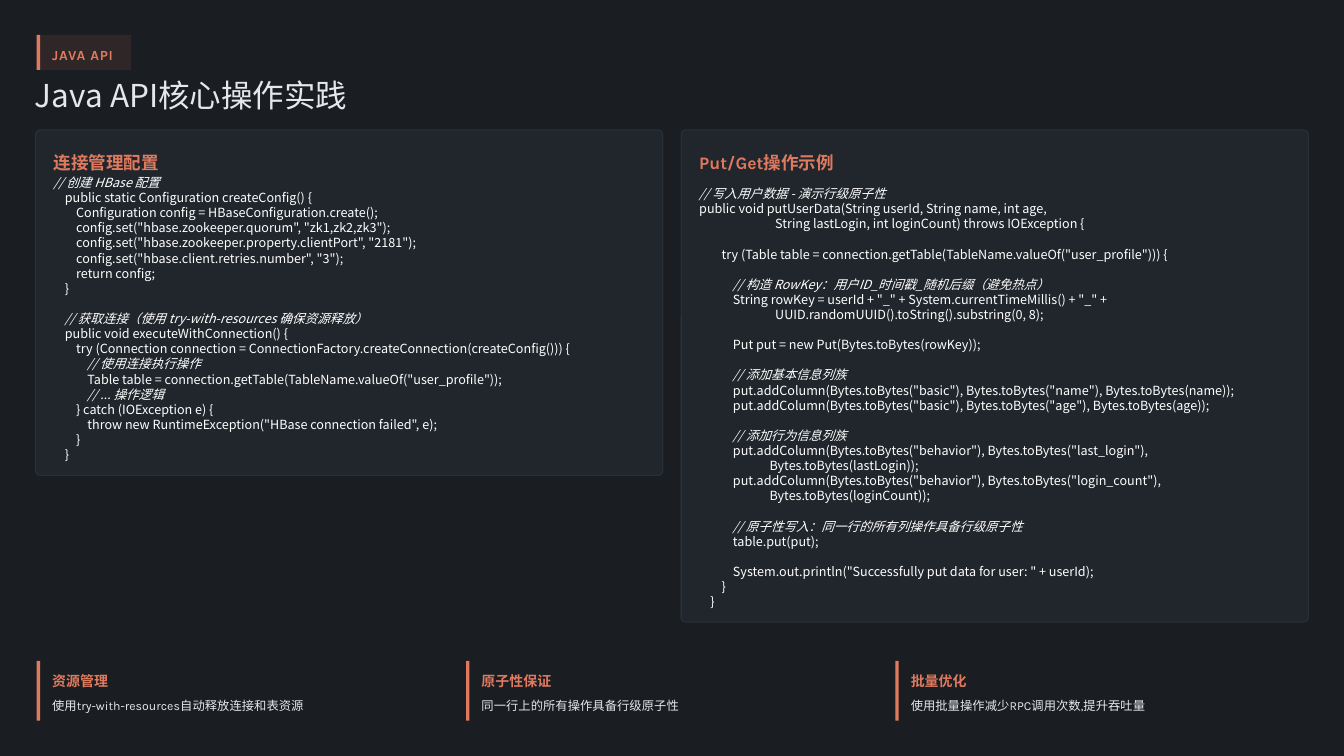
import pptx
import pptx.util
import pptx.dml.color
import pptx.enum.shapes
import pptx.enum.text
import pptx.oxml
import pptx.oxml.ns

Pt = pptx.util.Pt
SHAPE = pptx.enum.shapes.MSO_SHAPE
COLORS = {"background": "1A1D21", "accent": "E07A5F", "panel": "3D4A5C",
          "text": "E5E7EB", "code": "FFFFFF"}
LABEL_FONT = "Karla"
CJK_FONT = "Noto Sans CJK SC"
CODE_LINE = 14.4

CONNECTION_CODE = [
    """// 创建 HBase 配置
    public static Configuration createConfig() {
        Configuration config = HBaseConfiguration.create();
        config.set("hbase.zookeeper.quorum", "zk1,zk2,zk3");
        config.set("hbase.zookeeper.property.clientPort", "2181");
        config.set("hbase.client.retries.number", "3");
        return config;
    }""",
    """    // 获取连接（使用 try-with-resources 确保资源释放）
    public void executeWithConnection() {
        try (Connection connection = ConnectionFactory.createConnection(createConfig())) {
            // 使用连接执行操作
            Table table = connection.getTable(TableName.valueOf("user_profile"));
            // ... 操作逻辑
        } catch (IOException e) {
            throw new RuntimeException("HBase connection failed", e);
        }
    }"""]

PUT_CODE = [
    """// 写入用户数据 - 演示行级原子性
public void putUserData(String userId, String name, int age,
                           String lastLogin, int loginCount) throws IOException {""",
    """        try (Table table = connection.getTable(TableName.valueOf("user_profile"))) {""",
    """            // 构造 RowKey：用户ID_时间戳_随机后缀（避免热点）
            String rowKey = userId + "_" + System.currentTimeMillis() + "_" +
                           UUID.randomUUID().toString().substring(0, 8);""",
    """            Put put = new Put(Bytes.toBytes(rowKey));""",
    """            // 添加基本信息列族
            put.addColumn(Bytes.toBytes("basic"), Bytes.toBytes("name"), Bytes.toBytes(name));
            put.addColumn(Bytes.toBytes("basic"), Bytes.toBytes("age"), Bytes.toBytes(age));""",
    """            // 添加行为信息列族
            put.addColumn(Bytes.toBytes("behavior"), Bytes.toBytes("last_login"),
                         Bytes.toBytes(lastLogin));
            put.addColumn(Bytes.toBytes("behavior"), Bytes.toBytes("login_count"),
                         Bytes.toBytes(loginCount));""",
    """            // 原子性写入：同一行的所有列操作具备行级原子性
            table.put(put);""",
    """            System.out.println("Successfully put data for user: " + userId);
        }
    }"""]

TIPS = [("资源管理", "使用try-with-resources自动释放连接和表资源"),
        ("原子性保证", "同一行上的所有操作具备行级原子性"),
        ("批量优化", "使用批量操作减少RPC调用次数,提升吞吐量")]


def rgb(name):
    return pptx.dml.color.RGBColor.from_string(COLORS[name])


def paint(fill, color, opacity=100):
    fill.solid()
    fill.fore_color.rgb = rgb(color)
    if opacity < 100:
        for tint in fill._xPr.iter(pptx.oxml.ns.qn("a:srgbClr")):
            alpha = pptx.oxml.parse_xml(
                f'<a:alpha {pptx.oxml.ns.nsdecls("a")} val="{opacity * 1000}"/>')
            tint.append(alpha)


def add_block(slide, kind, left, top, width, height, color, opacity=100):
    block = slide.shapes.add_shape(kind, Pt(left), Pt(top), Pt(width), Pt(height))
    block.shadow.inherit = False
    paint(block.fill, color, opacity)
    block.line.fill.background()
    return block


def style(paragraph, size, color, font=LABEL_FONT, bold=False, italic=False, spacing=None):
    face = paragraph.font
    face.name, face.size, face.bold, face.italic = font, Pt(size), bold, italic
    face.color.rgb = rgb(color)
    east_asian = pptx.oxml.parse_xml(
        f'<a:ea {pptx.oxml.ns.nsdecls("a")} typeface="{CJK_FONT}"/>')
    face._element.find(pptx.oxml.ns.qn("a:latin")).addnext(east_asian)
    paragraph.alignment = pptx.enum.text.PP_ALIGN.LEFT
    paragraph.line_spacing = spacing


def prepare(frame):
    frame.margin_left = frame.margin_right = frame.margin_top = frame.margin_bottom = 0
    frame.word_wrap = True
    frame.auto_size = pptx.enum.text.MSO_AUTO_SIZE.NONE
    frame.vertical_anchor = pptx.enum.text.MSO_ANCHOR.MIDDLE
    return frame


def add_frame(slide, left, top, width, height):
    area = slide.shapes.add_textbox(Pt(left), Pt(top), Pt(width), Pt(height))
    return prepare(area.text_frame)


def add_label(slide, left, top, width, height, text, size, color="accent", bold=True, spacing=1.2):
    paragraph = add_frame(slide, left, top, width, height).paragraphs[0]
    paragraph.text = text
    style(paragraph, size, color, bold=bold, spacing=spacing)
    return paragraph


def add_tag(slide, left, top, width, height, text):
    add_block(slide, SHAPE.RECTANGLE, left, top, width, height, "accent", 10)
    add_block(slide, SHAPE.RECTANGLE, left, top, 3.3, height, "accent")
    tag = add_label(slide, left + 14.7, top + 8, width - 21, 17.3, text, 13.3, spacing=1.3)
    tag.runs[0].font._element.set("spc", "70")


def add_title(slide, left, top, width, height, text):
    title = slide.shapes.title
    title.left, title.top, title.width, title.height = Pt(left), Pt(top), Pt(width), Pt(height)
    paragraph = prepare(title.text_frame).paragraphs[0]
    paragraph.text = text
    style(paragraph, 30, "text", font=CJK_FONT, spacing=0.9)


def add_code(slide, left, top, width, height, blocks):
    frame = add_frame(slide, left, top, width, height)
    for block_number, block in enumerate(blocks):
        for line_number, line in enumerate(block.split("\n")):
            starts_block = line_number == 0
            first = starts_block and block_number == 0
            paragraph = frame.paragraphs[0] if first else frame.add_paragraph()
            paragraph.text = line
            style(paragraph, 12, "code", font=CJK_FONT,
                  italic=line.lstrip().startswith("//"), spacing=Pt(CODE_LINE))
            if starts_block and not first:
                paragraph.space_before = Pt(CODE_LINE)


def add_code_panel(slide, left, top, width, height, heading, blocks, code_top, code_height):
    panel = add_block(slide, SHAPE.ROUNDED_RECTANGLE, left, top, width, height, "panel", 20)
    panel.adjustments[0] = 4.5 / height
    paint(panel.line.fill, "panel", 40)
    panel.line.width = Pt(1)
    inset = 17.3
    add_label(slide, left + inset, top + inset, width - 2 * inset, 23, heading, 16.7)
    add_code(slide, left + inset, top + code_top, width - 2 * inset, code_height, blocks)


def add_tip(slide, left, top, width, height, heading, detail):
    add_block(slide, SHAPE.RECTANGLE, left, top, 3.3, height, "accent")
    add_label(slide, left + 14.7, top + 6.5, width, 20, heading, 13.3, spacing=1.3)
    add_label(slide, left + 14.7, top + 33, width, 16.6, detail, 11.7, "text", bold=False)


def main():
    deck = pptx.Presentation()
    deck.slide_width, deck.slide_height = Pt(1280.16), Pt(720)
    slide = deck.slides.add_slide(deck.slide_layouts[5])
    paint(slide.background.fill, "background")

    add_tag(slide, 35, 33.3, 90, 33.4, "JAVA API")
    add_title(slide, 33.3, 76.3, 1228, 33.3, "Java API核心操作实践")
    add_code_panel(slide, 33.8, 123.8, 597.6, 329, "连接管理配置", CONNECTION_CODE, 40.3, 278.6)
    add_code_panel(slide, 648.7, 123.8, 597.6, 468.7, "Put/Get操作示例", PUT_CODE, 54, 401.8)
    for column, (heading, detail) in enumerate(TIPS):
        add_tip(slide, 35 + 408.9 * column, 629.3, 386, 57, heading, detail)

    deck.save("out.pptx")


if __name__ == "__main__":
    main()
